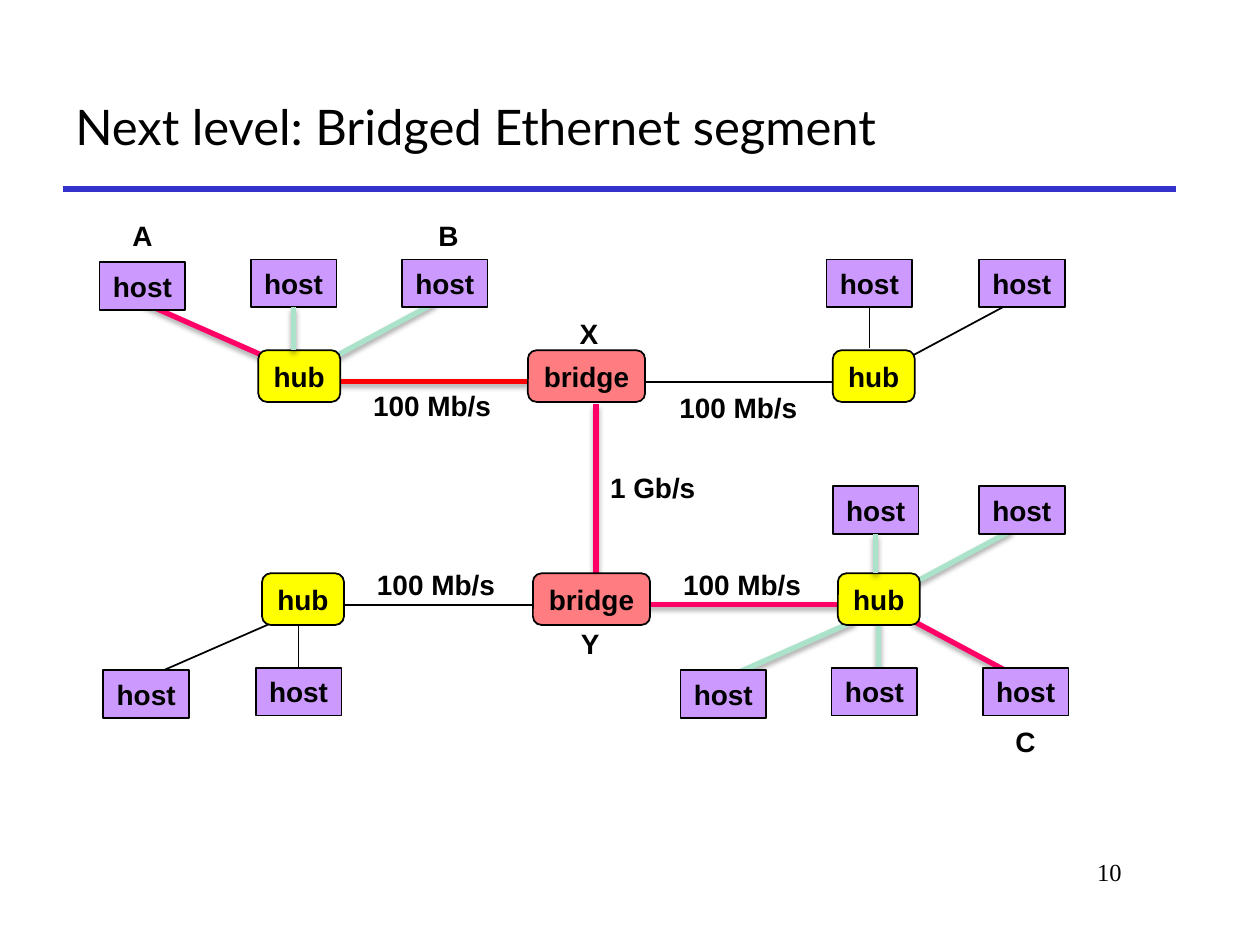
from dataclasses import dataclass

from lxml import etree
from pptx import Presentation
from pptx import util as u
from pptx.dml.color import RGBColor
from pptx.enum import shapes, text
from pptx.oxml import ns

Inches = u.Inches
MID, TOP = text.MSO_ANCHOR.MIDDLE, text.MSO_ANCHOR.TOP
LEFT, CENTER, RIGHT = text.PP_ALIGN.LEFT, text.PP_ALIGN.CENTER, text.PP_ALIGN.RIGHT


@dataclass(frozen=True)
class Theme:
    ink: str = "000000"
    rule: str = "3333CC"
    host: str = "CC99FF"
    hub: str = "FFFF00"
    bridge: str = "FF7C80"
    title_font: str = "Lato"
    label_font: str = "Arial"
    number_font: str = "Times New Roman"
    title_size: int = 28
    label_size: int = 16
    number_size: int = 14


T = Theme()

# Link style: colour, width in points, shadow
LINKS = {
    "plain": (T.ink, 1, False),
    "path": ("FF0066", 3, True),
    "trunk": ("FF0000", 3, True),
    "idle": ("AAE2CA", 3, True),
}

# Node kind: preset shape, fill, width, height
RECT, ROUND = shapes.MSO_SHAPE.RECTANGLE, shapes.MSO_SHAPE.ROUNDED_RECTANGLE
NODES = {
    "host": (RECT, T.host, 0.68, 0.38),
    "hub": (ROUND, T.hub, 0.65, 0.41),
    "bridge": (ROUND, T.bridge, 0.93, 0.41),
}

# Left and top of every node
PLACES = {
    "host": [(0.79, 2.08), (1.99, 2.06), (3.19, 2.06), (6.56, 2.06), (7.77, 2.06),
             (0.82, 5.32), (2.03, 5.3), (5.4, 5.32), (6.6, 5.3), (7.8, 5.3),
             (6.61, 3.86), (7.77, 3.86)],
    "hub": [(2.05, 2.78), (6.61, 2.78), (2.08, 4.55), (6.65, 4.55)],
    "bridge": [(4.19, 2.78), (4.23, 4.55)],
}

# Links that run beneath the nodes: style, start, end
CABLES = [
    ("path", (1.13, 2.4), (2.15, 2.85)),
    ("idle", (3.46, 2.4), (2.62, 2.85)),
    ("plain", (8.03, 2.4), (7.19, 2.85)),
    ("trunk", (2.68, 3.03), (4.26, 3.03)),
    ("plain", (5.1, 3.03), (6.69, 3.03)),
    ("plain", (2.19, 4.93), (1.16, 5.38)),
    ("plain", (2.71, 4.8), (4.3, 4.8)),
    ("path", (5.14, 4.8), (6.73, 4.8)),
    ("path", (4.73, 3.21), (4.73, 4.57)),
    ("idle", (6.78, 4.93), (5.76, 5.38)),
    ("idle", (6.97, 4.93), (6.97, 5.32)),
    ("path", (7.25, 4.93), (8.09, 5.38)),
    ("idle", (8.03, 4.21), (7.19, 4.66)),
]

# Vertical links joined to a host: style, host index, side, height of the hub end
DROPS = [("idle", 1, 2, 2.78), ("plain", 3, 2, 2.76),
         ("plain", 6, 0, 4.96), ("idle", 10, 2, 4.55)]

# Captions: text, left, top, width
CAPTIONS = [
    ("100 Mb/s", 2.86, 3.03, 1.14), ("100 Mb/s", 5.29, 3.05, 1.14),
    ("100 Mb/s", 2.89, 4.45, 1.14), ("100 Mb/s", 5.32, 4.45, 1.14),
    ("1 Gb/s", 4.74, 3.68, 0.88),
    ("A", 0.95, 1.68, 0.36), ("B", 3.38, 1.68, 0.36), ("C", 7.96, 5.7, 0.36),
    ("X", 4.5, 2.46, 0.35), ("Y", 4.51, 4.92, 0.35),
]


def write(sp, words, font=T.label_font, size=T.label_size, bold=True,
          align=CENTER, anchor=MID, wrap=False):
    tf = sp.text_frame
    for name, value in {"word_wrap": wrap, "vertical_anchor": anchor,
                        "auto_size": text.MSO_AUTO_SIZE.NONE}.items():
        setattr(tf, name, value)
    p = tf.paragraphs[0]
    p.alignment = align
    r = p.add_run()
    r.text = words
    for name, value in {"name": font, "size": u.Pt(size), "bold": bold}.items():
        setattr(r.font, name, value)
    r.font.color.rgb = RGBColor.from_string(T.ink)


def add_text(slide, words, x, y, w, h, **fmt):
    sp = slide.shapes.add_textbox(*map(Inches, (x, y, w, h)))
    write(sp, words, **fmt)


def add_line(slide, start, end, color, width, shadow=False):
    cx = slide.shapes.add_connector(shapes.MSO_CONNECTOR.STRAIGHT,
                                    *map(Inches, (*start, *end)))
    cx.line.color.rgb = RGBColor.from_string(color)
    cx.line.width = u.Pt(width)
    effects = etree.SubElement(cx._element.spPr, ns.qn("a:effectLst"))
    if shadow:
        outer = etree.SubElement(effects, ns.qn("a:outerShdw"), blurRad=str(u.Pt(3.1)),
                                 dist=str(u.Pt(1.8)), dir="5400000", rotWithShape="0")
        black = etree.SubElement(outer, ns.qn("a:srgbClr"), val=T.ink)
        etree.SubElement(black, ns.qn("a:alpha"), val="35000")
    return cx


def add_node(slide, kind, x, y):
    preset, fill, w, h = NODES[kind]
    sp = slide.shapes.add_shape(preset, *map(Inches, (x, y, w, h)))
    sp.shadow.inherit = False
    sp.fill.solid()
    sp.fill.fore_color.rgb = RGBColor.from_string(fill)
    sp.line.color.rgb = RGBColor.from_string(T.ink)
    sp.line.width = u.Pt(1)
    write(sp, kind)
    return sp


def add_drop(slide, style, host, side, hub_y):
    x = (host.left + host.width / 2) / Inches(1)
    y = (host.top + (host.height if side == 2 else 0)) / Inches(1)
    cx = add_line(slide, (x, y), (x, hub_y), *LINKS[style])
    cx.begin_connect(host, side)


def main():
    prs = Presentation()
    prs.slide_width, prs.slide_height = Inches(10), Inches(7.5)
    slide = prs.slides.add_slide(prs.slide_layouts[6])

    # Title, rule and slide number
    add_line(slide, (0.5, 1.5), (9.33, 1.5), T.rule, 3)
    add_text(slide, "10", 7.58, 6.75, 1.42, 0.5, font=T.number_font,
             size=T.number_size, bold=False, align=RIGHT, anchor=TOP, wrap=True)
    add_text(slide, "Next level: Bridged Ethernet segment", 0.5, 0.5, 8.83, 1,
             font=T.title_font, size=T.title_size, bold=False, align=LEFT, wrap=True)

    # Network: cables below, nodes above
    for style, start, end in CABLES:
        add_line(slide, start, end, *LINKS[style])
    nodes = {kind: [add_node(slide, kind, x, y) for x, y in places]
             for kind, places in PLACES.items()}
    for style, index, side, hub_y in DROPS:
        add_drop(slide, style, nodes["host"][index], side, hub_y)

    # Speeds and names
    for words, x, y, w in CAPTIONS:
        add_text(slide, words, x, y, w, 0.37)

    prs.save("out.pptx")


if __name__ == "__main__":
    main()
